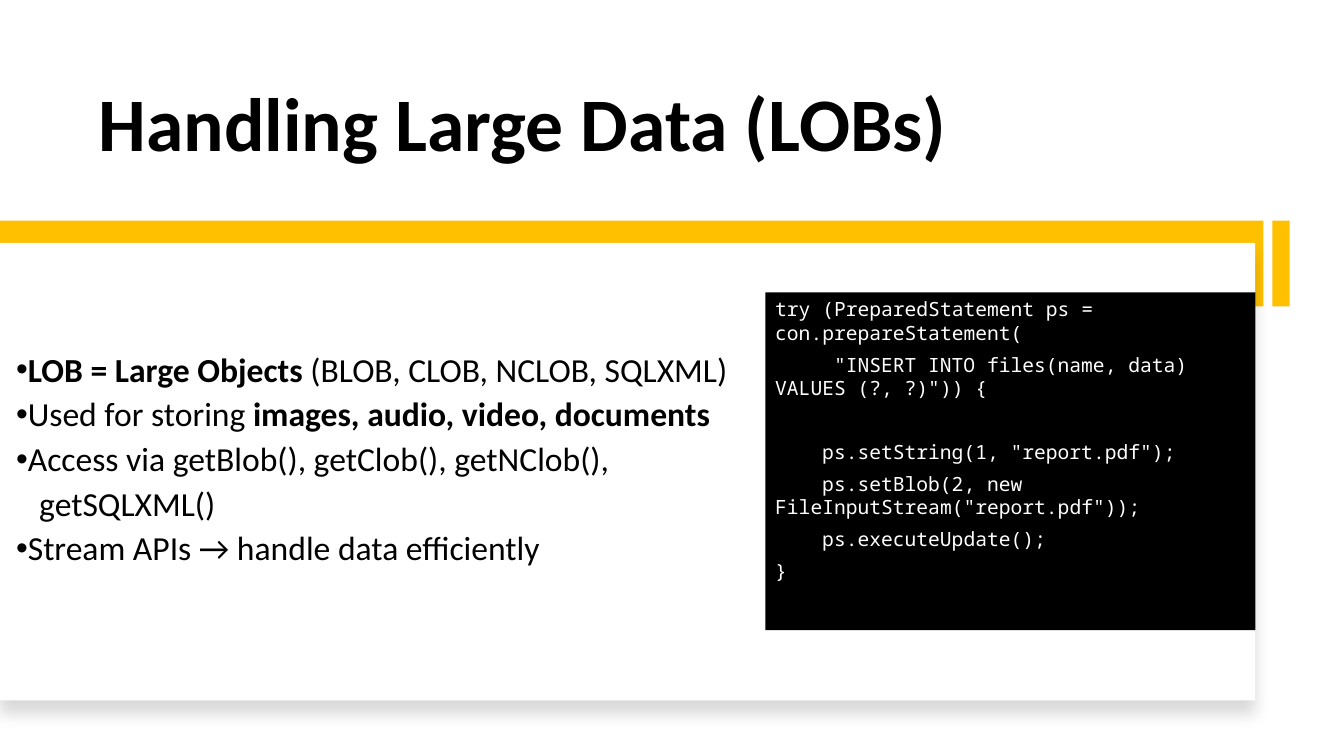
from lxml import etree
from pptx import Presentation
from pptx.dml.color import RGBColor
from pptx.enum.shapes import MSO_SHAPE
from pptx.enum.text import MSO_ANCHOR, MSO_AUTO_SIZE, PP_ALIGN
from pptx.oxml.ns import qn
from pptx.util import Inches, Pt

RECTANGLE = MSO_SHAPE.RECTANGLE
TOP, MIDDLE, BOTTOM = MSO_ANCHOR.TOP, MSO_ANCHOR.MIDDLE, MSO_ANCHOR.BOTTOM
NO_FIT = MSO_AUTO_SIZE.NONE
LEFT = PP_ALIGN.LEFT

SLIDE_WIDTH, SLIDE_HEIGHT = Inches(13.33), Inches(7.5)
COLORS = {"ink": "000000", "paper": "FFFFFF", "accent": "FFC000"}
CODE_COLUMN = 0.6 * 14

LOB_POINTS = [
    {"runs": [("LOB = Large Objects", True), (" (BLOB, CLOB, NCLOB, SQLXML)", False)]},
    {"runs": [("Used for storing ", False), ("images, audio, video, documents", True)]},
    {"runs": [("Access via getBlob(), getClob(), getNClob(),", False)]},
    {"runs": [("getSQLXML()", False)], "bullet": None, "first": 16.5},
    {"runs": [("Stream APIs → handle data efficiently", False)]},
]
CODE_LINES = [
    (0, 0, "try (PreparedStatement ps = con.prepareStatement("),
    (5, 0, '"INSERT INTO files(name, data) VALUES (?, ?)")) {'),
    (4, 22.5, 'ps.setString(1, "report.pdf");'),
    (4, 0, 'ps.setBlob(2, new FileInputStream("report.pdf"));'),
    (4, 0, "ps.executeUpdate();"),
    (0, 0, "}"),
]


def area(left, top, width, height):
    """Turn percentages of the slide into a box in EMU."""
    return (int(SLIDE_WIDTH * left / 100), int(SLIDE_HEIGHT * top / 100),
            int(SLIDE_WIDTH * width / 100), int(SLIDE_HEIGHT * height / 100))


def add_block(slide, box, color):
    """Add a plain filled rectangle."""
    block = slide.shapes.add_shape(RECTANGLE, *area(*box))
    block.shadow.inherit = False
    block.fill.solid()
    block.fill.fore_color.rgb = RGBColor.from_string(COLORS[color])
    block.line.fill.background()
    return block


def cast_shadow(block):
    """Give a block a soft shadow below it."""
    effects = block.element.spPr.find(qn("a:effectLst"))
    shadow = etree.SubElement(effects, qn("a:outerShdw"), blurRad=str(Pt(11)),
                              dist=str(Pt(10)), dir="5400000", rotWithShape="0")
    tint = etree.SubElement(shadow, qn("a:srgbClr"), val=COLORS["ink"])
    etree.SubElement(tint, qn("a:alpha"), val="15000")


def place(placeholder, box):
    """Move a placeholder to its box."""
    placeholder.left, placeholder.top, placeholder.width, placeholder.height = area(*box)


def set_frame(holder, anchor):
    """Prepare a text frame for wrapped text of fixed size."""
    frame = holder.text_frame
    frame.word_wrap = True
    frame.auto_size = NO_FIT
    frame.vertical_anchor = anchor
    return frame


def write(frame, runs, size, font="Calibri", color="ink", spacing=1.0,
          before=0, after=0, first=0, bullet=None):
    """Write one formatted paragraph of (text, bold) runs."""
    paragraph = frame.paragraphs[0]
    if paragraph.runs:
        paragraph = frame.add_paragraph()
    paragraph.alignment = LEFT
    paragraph.line_spacing = spacing
    paragraph.space_before, paragraph.space_after = Pt(before), Pt(after)
    properties = paragraph._p.get_or_add_pPr()
    properties.set("marL", "0")
    properties.set("indent", str(Pt(first)))
    if bullet:
        etree.SubElement(properties, qn("a:buChar"), char=bullet)
    else:
        etree.SubElement(properties, qn("a:buNone"))
    for text, bold in runs:
        run = paragraph.add_run()
        run.text = text
        run.font.name, run.font.size, run.font.bold = font, Pt(size), bold
        run.font.color.rgb = RGBColor.from_string(COLORS[color])


def main():
    """Build the slide about large objects."""
    deck = Presentation()
    deck.slide_width, deck.slide_height = SLIDE_WIDTH, SLIDE_HEIGHT
    slide = deck.slides.add_slide(deck.slide_layouts[1])

    title, points = slide.shapes.title, slide.placeholders[1]
    place(title, (6.6, 5.6, 75.77, 17.33))
    write(set_frame(title, BOTTOM), [("Handling Large Data (LOBs)", True)], 54, spacing=0.9)

    tab = add_block(slide, (94.67, 29.2, 1.28, 11.33), "accent")
    band = add_block(slide, (0, 29.2, 94, 11.33), "accent")
    panel = add_block(slide, (0, 32.13, 93.4, 60.53), "paper")
    cast_shadow(panel)
    for backdrop in (tab, band, panel):
        points.element.addprevious(backdrop.element)

    place(points, (0.45, 35.87, 83.2, 50.13))
    points_frame = set_frame(points, MIDDLE)
    for point in LOB_POINTS:
        write(points_frame, **{"size": 24, "spacing": 0.9, "after": 6,
                               "first": -18, "bullet": "•", **point})

    listing = add_block(slide, (56.94, 38.67, 36.46, 44.67), "ink")
    listing_frame = set_frame(listing, TOP)
    for columns, gap, code in CODE_LINES:
        write(listing_frame, [(code, False)], 14, font="Noto Sans Mono", color="paper",
              before=gap, after=6, first=columns * CODE_COLUMN)

    deck.save("out.pptx")


if __name__ == "__main__":
    main()
